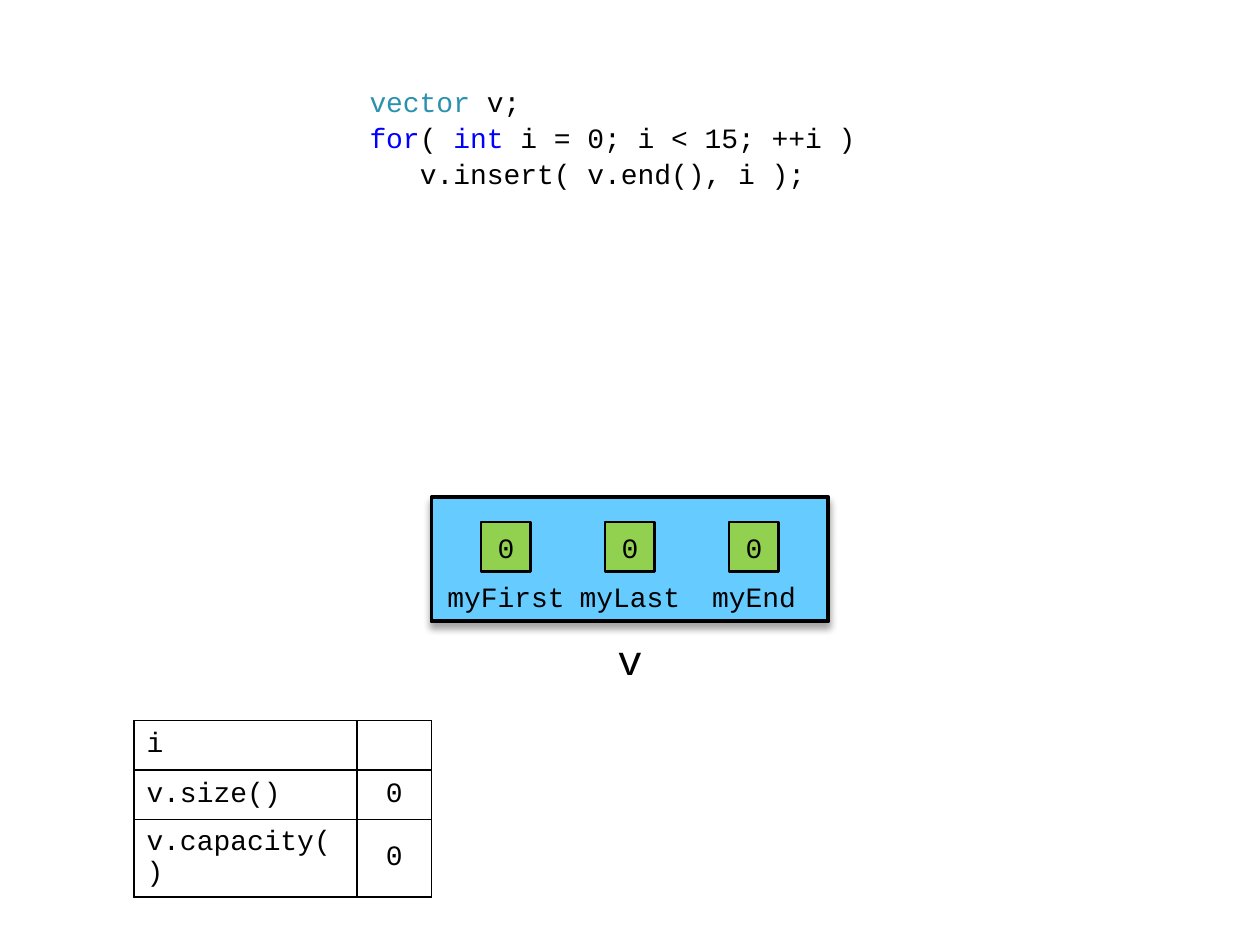
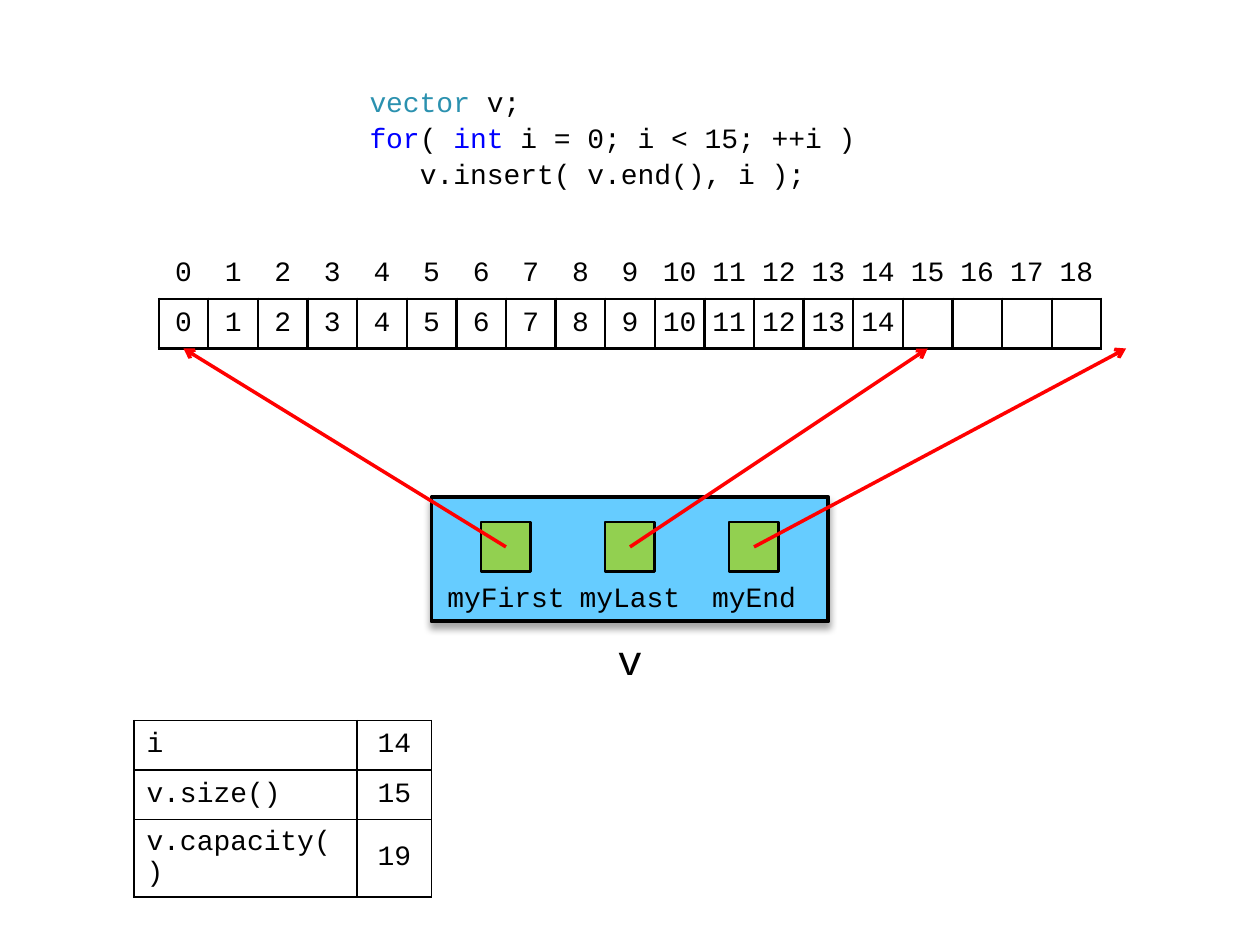
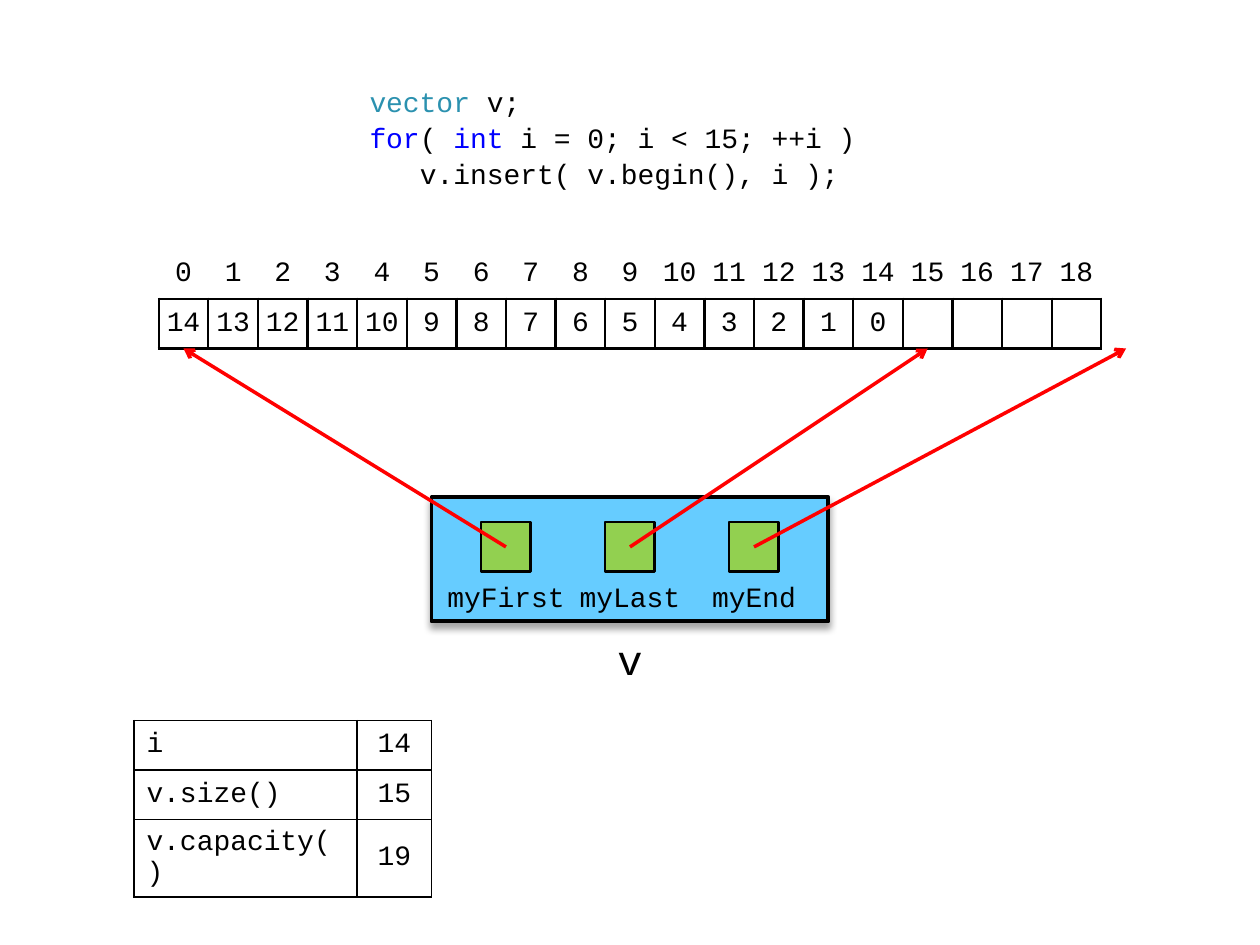
from lxml.etree import SubElement
from pptx import Presentation
from pptx.dml.color import RGBColor
from pptx.enum.shapes import MSO_CONNECTOR, MSO_SHAPE
from pptx.enum.text import MSO_ANCHOR, PP_ALIGN
from pptx.oxml.ns import qn
from pptx.util import Cm, Inches, Pt

# Content
COLORS = {"type": "2B91AF", "keyword": "0000FF", "text": "000000",
          "vector": "66CCFF", "pointer": "92D050", "arrow": "FF0000"}
FONT = "Courier New"
POINTERS = ["myFirst", "myLast", "myEnd"]
CAPACITY = 19
SLIDES = [
    {"insert": "v.insert( v.end(), i );", "values": None, "i": ""},
    {"insert": "v.insert( v.end(), i );", "values": list(range(15)), "i": 14},
    {"insert": "v.insert( v.begin(), i );", "values": list(range(14, -1, -1)), "i": 14},
]

# Layout: a 1 cm grid measured from the centre of the slide
WIDTH, HEIGHT = 25.4, 19.05
ARRAY_LEFT, ARRAY_TOP = -CAPACITY / 2, -4.5
ARRAY_BOTTOM = ARRAY_TOP + 2
POINTER_GAP, POINTER_TOP = 2.5, 1


def gx(x):
    return Cm(WIDTH / 2 + x)


def gy(y):
    return Cm(HEIGHT / 2 + y)


def place(x, y, w, h):
    return gx(x), gy(y), Cm(w), Cm(h)


def rgb(name):
    return RGBColor.from_string(COLORS[name])


def write(tf, lines, size=16, align=PP_ALIGN.CENTER, before=0):
    """Each line is a string or a list of (text, colour) runs."""
    tf.word_wrap = True
    for n, line in enumerate(lines):
        p = tf.paragraphs[0] if n == 0 else tf.add_paragraph()
        p.alignment = align
        p.space_before = Pt(before)
        for text, color in [(line, "text")] if isinstance(line, str) else line:
            r = p.add_run()
            r.text = text
            r.font.name, r.font.size = FONT, Pt(size)
            r.font.color.rgb = rgb(color)


def add_text(s, box, lines, anchor=MSO_ANCHOR.MIDDLE, **fmt):
    tf = s.shapes.add_textbox(*place(*box)).text_frame
    tf.vertical_anchor = anchor
    write(tf, lines, **fmt)
    return tf


def add_box(s, kind, box, fill=None, line=0, text=""):
    sp = s.shapes.add_shape(kind, *place(*box))
    sp.shadow.inherit = False
    if fill:
        sp.fill.solid()
        sp.fill.fore_color.rgb = rgb(fill)
        sp.line.color.rgb = rgb("text")
        sp.line.width = Pt(line)
    else:
        sp.fill.background()
        sp.line.fill.background()
    if text:
        sp.text_frame.vertical_anchor = MSO_ANCHOR.MIDDLE
        write(sp.text_frame, [text])
    return sp


def add_shadow(sp):
    effects = sp._element.spPr.find(qn("a:effectLst"))
    shadow = SubElement(effects, qn("a:outerShdw"), blurRad=str(Pt(4)),
                        dist=str(Pt(3)), dir="5400000", rotWithShape="0")
    color = SubElement(shadow, qn("a:srgbClr"), val=COLORS["text"])
    SubElement(color, qn("a:alpha"), val="35000")


def add_borders(cell, sides, width):
    tcPr = cell._tc.get_or_add_tcPr()
    for side in sides:
        ln = SubElement(tcPr, qn(f"a:ln{side}"), w=str(Pt(width)))
        SubElement(SubElement(ln, qn("a:solidFill")), qn("a:srgbClr"), val=COLORS["text"])


def add_grid(s, x, y, widths, rows, margin, line, header=False, label_column=False):
    frame = s.shapes.add_table(len(rows), len(widths),
                               *place(x, y, sum(widths), len(rows)))
    table = frame.table
    table.first_row = table.horz_banding = False
    for column, width in zip(table.columns, widths):
        column.width = Cm(width)
    for r, row in enumerate(rows):
        table.rows[r].height = Cm(1)
        for c, value in enumerate(row):
            cell = table.cell(r, c)
            cell.vertical_anchor = MSO_ANCHOR.MIDDLE
            cell.margin_left = cell.margin_right = Inches(margin)
            cell.margin_top = cell.margin_bottom = Inches(0.04)
            add_borders(cell, "B" if header and r == 0 else "LRTB", line)
            cell.fill.background()
            left = label_column and c == 0
            write(cell.text_frame, [str(value)],
                  align=PP_ALIGN.LEFT if left else PP_ALIGN.CENTER)


def add_code(s, insert):
    tf = add_text(s, (-5.5, -8, 11, 2.5), [
        [("vector", "type"), (" v;", "text")],
        [("for", "keyword"), ("( ", "text"), ("int", "keyword"),
         (" i = 0; i < 15; ++i )", "text")],
        insert,
    ], align=PP_ALIGN.LEFT, before=1.3)
    # The loop body is indented by three characters
    tf.paragraphs[2]._p.get_or_add_pPr().set("marL", str(Pt(3 * 0.6 * 16)))


def add_vector(s, pointer_text):
    add_text(s, (-1, 3, 2, 1.5), ["v"], size=24)
    add_shadow(add_box(s, MSO_SHAPE.FLOWCHART_PROCESS, (-4, 0.5, 8, 2.5), "vector", 2.25))
    for n, name in enumerate(POINTERS):
        x = (n - 1) * POINTER_GAP
        add_box(s, MSO_SHAPE.FLOWCHART_PROCESS, (x - 1.5, POINTER_TOP + 1, 3, 1), text=name)
        add_box(s, MSO_SHAPE.RECTANGLE, (x - 0.5, POINTER_TOP, 1, 1),
                "pointer", 1.5, pointer_text)


def add_arrows(s, targets):
    for n, index in enumerate(targets):
        cn = s.shapes.add_connector(
            MSO_CONNECTOR.STRAIGHT, gx((n - 1) * POINTER_GAP), gy(POINTER_TOP + 0.5),
            gx(ARRAY_LEFT + index + 0.5), gy(ARRAY_BOTTOM))
        cn.line.color.rgb = rgb("arrow")
        cn.line.width = Pt(2)
        SubElement(cn.line._get_or_add_ln(), qn("a:tailEnd"), type="arrow")
        SubElement(cn._element.spPr, qn("a:effectLst"))


def build_slide(prs, insert, values, i):
    s = prs.slides.add_slide(prs.slide_layouts[6])
    add_code(s, insert)
    size = len(values) if values else 0
    if values:
        cells = values + [""] * (CAPACITY - size)
        add_grid(s, ARRAY_LEFT, ARRAY_TOP, [1] * CAPACITY, [range(CAPACITY), cells],
                 margin=0.06, line=1.5, header=True)
    add_vector(s, "" if values else "0")
    if values:
        add_arrows(s, [0, size, CAPACITY])
    # Loop counter and vector state
    state = [("i", i), ("v.size()", size), ("v.capacity()", CAPACITY if values else 0)]
    add_grid(s, -10, 5, [4.5, 1.5], state, margin=0.1, line=1, label_column=True)


def main():
    prs = Presentation()
    prs.slide_width, prs.slide_height = Cm(WIDTH), Cm(HEIGHT)
    for content in SLIDES:
        build_slide(prs, **content)
    prs.save("out.pptx")


if __name__ == "__main__":
    main()
